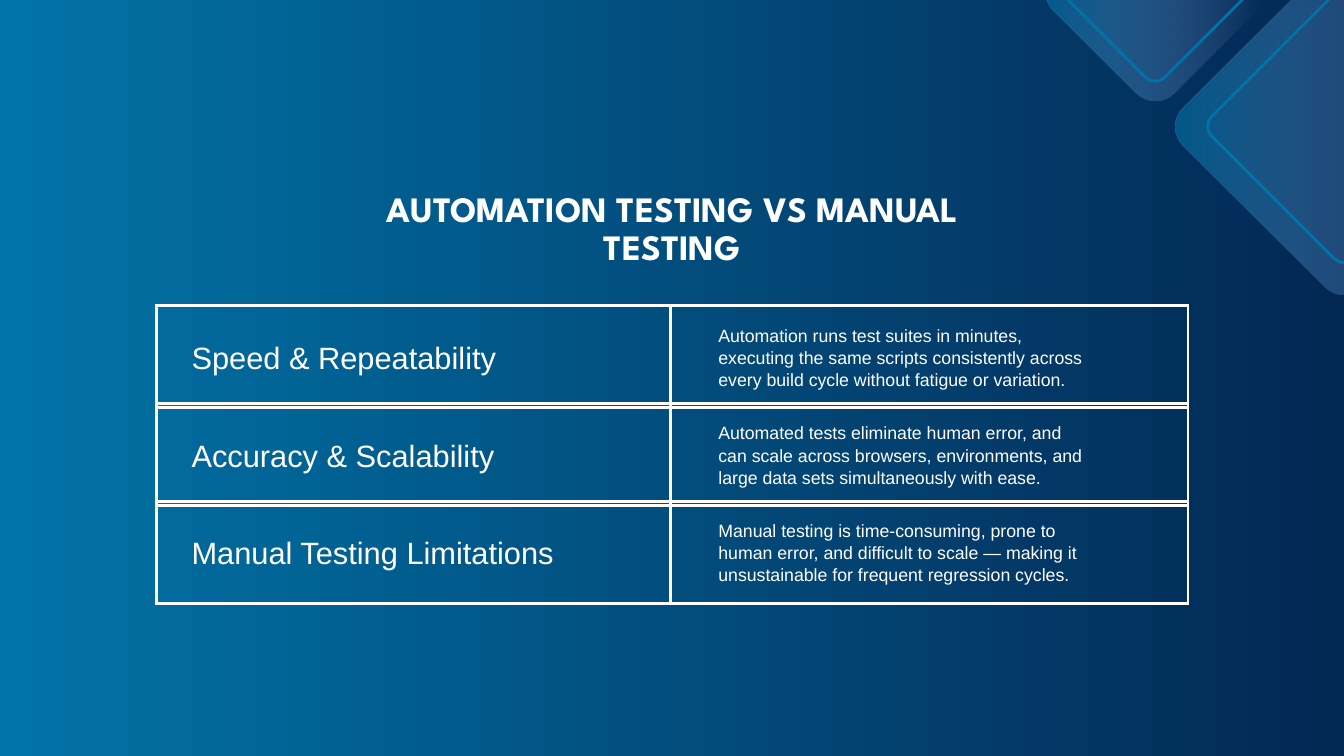
import math

from pptx import Presentation, util as u
from pptx.dml.color import RGBColor
from pptx.enum import shapes, text
from pptx.oxml.ns import qn
from lxml import etree

# The page is a grid of 20 columns by 11.25 rows, each one inch
COLUMNS, ROWS = 20, 11.25
WHITE = RGBColor(0xFF, 0xFF, 0xFF)
BLUE = RGBColor(0x02, 0x73, 0xA7)
NAVY = RGBColor(0x03, 0x28, 0x54)
LILAC = RGBColor(0xC8, 0xC3, 0xFF)
RULE = u.Pt(3)

TITLE = {"size": u.Pt(38.2), "name": "League Spartan", "bold": True}
LABEL = {"size": u.Pt(33), "name": "Arial"}
DETAIL = {"size": u.Pt(19), "name": "Arial"}

COMPARISON = [
    ("Speed & Repeatability",
     "Automation runs test suites in minutes, executing the same scripts "
     "consistently across every build cycle without fatigue or variation."),
    ("Accuracy & Scalability",
     "Automated tests eliminate human error, and can scale across browsers, "
     "environments, and large data sets simultaneously with ease."),
    ("Manual Testing Limitations",
     "Manual testing is time-consuming, prone to human error, and difficult to "
     "scale — making it unsustainable for frequent regression cycles."),
]


def grid(*cells):
    return [u.Inches(cell) for cell in cells]


def paint_gradient(fill, start, end):
    fill.gradient()
    fill.gradient_angle = 0
    for stop, colour in zip(fill.gradient_stops, (start, end)):
        stop.color.rgb = colour


def outline(shape, colour):
    """Leave the shape hollow, with a sharp-cornered line."""
    shape.shadow.inherit = False
    shape.fill.background()
    shape.line.color.rgb = colour
    shape.line.width = RULE
    line = shape._element.spPr.find(qn("a:ln"))
    etree.SubElement(line, qn("a:miter"), lim="800000")


def add_text(page, area, words, style, spacing, align=text.PP_ALIGN.LEFT):
    box = page.shapes.add_textbox(*grid(*area))
    frame = box.text_frame
    frame.word_wrap = True
    for side in ("left", "top", "right", "bottom"):
        setattr(frame, f"margin_{side}", 0)
    para = frame.paragraphs[0]
    para.alignment = align
    para.line_spacing = u.Pt(spacing)
    span = para.add_run()
    span.text = words
    span.font.color.rgb = WHITE
    for key, value in style.items():
        setattr(span.font, key, value)


def add_comparison(page, left, top, width, height):
    """Framed rows that overlap slightly, split by one upright rule."""
    frame_height, text_pitch = 1.52, 1.45
    frame_pitch = (height - frame_height) / (len(COMPARISON) - 1)
    for row in range(len(COMPARISON)):
        frame = page.shapes.add_shape(
            shapes.MSO_SHAPE.RECTANGLE,
            *grid(left, top + row * frame_pitch, width, frame_height))
        outline(frame, WHITE)

    middle = left + 7.65
    divider = page.shapes.add_connector(
        shapes.MSO_CONNECTOR.STRAIGHT, *grid(middle, top + height, middle, top))
    divider.line.color.rgb = WHITE
    divider.line.width = RULE
    etree.SubElement(divider._element.spPr, qn("a:effectLst"))

    for row, (label, detail) in enumerate(COMPARISON):
        row_top = top + row * text_pitch
        add_text(page, (left + 0.52, row_top + 0.4, 5.88, 0.65), label, LABEL, 46.2)
        add_text(page, (middle + 0.71, row_top + 0.27, 5.46, 0.98), detail, DETAIL, 23.7)


def bend(segment, start, angle, radius):
    """Turn a straight path segment into an arc of 45 degrees from the angle."""
    end = segment.find(qn("a:pt"))
    reach = 4 / 3 * math.tan(math.radians(45 / 4)) * u.Inches(radius)
    handles = []
    for point, turn, sign in ((start, angle, 1), (end, angle + 45, -1)):
        slope = math.radians(turn)
        handles.append((int(point.get("x")) - sign * reach * math.sin(slope),
                        int(point.get("y")) + sign * reach * math.cos(slope)))
    curve = etree.Element(qn("a:cubicBezTo"))
    for x, y in handles:
        etree.SubElement(curve, qn("a:pt"), x=str(round(x)), y=str(round(y)))
    segment.getparent().replace(segment, curve)
    curve.append(end)


def add_diamond(page, centre_x, centre_y, reach, radius):
    """Square standing on a corner, with its corners rounded."""
    points, turns = [], []
    for corner in range(0, 360, 90):
        hub_x = centre_x + (reach - radius) * math.cos(math.radians(corner))
        hub_y = centre_y + (reach - radius) * math.sin(math.radians(corner))
        for turn in (corner - 45, corner, corner + 45):
            angle = math.radians(turn)
            turns.append(turn)
            points.append(grid(hub_x + radius * math.cos(angle),
                               hub_y + radius * math.sin(angle)))
    builder = page.shapes.build_freeform(*points[0])
    builder.add_line_segments(points[1:], close=True)
    diamond = builder.convert_to_shape()

    segments = list(diamond._element.iter(qn("a:lnTo")))
    nodes = list(diamond._element.iter(qn("a:pt")))
    for index, (segment, start, turn) in enumerate(zip(segments, nodes, turns)):
        if index % 3 < 2:
            bend(segment, start, turn, radius)
    return diamond


def add_corner_diamonds(page, right):
    """Two tinted diamonds, each with a thin inner outline."""
    diamonds = [(right, 1.88, 2.5, 2.03), (right - 2.81, -0.13, 1.63, 1.34)]
    for x, y, reach, _ in diamonds:
        tile = add_diamond(page, x, y, reach, 0.4)
        tile.shadow.inherit = False
        tile.line.fill.background()
        paint_gradient(tile.fill, BLUE, LILAC)
        colours = tile._element.spPr.iter(qn("a:srgbClr"))
        for colour, opacity in zip(colours, (60, 0)):
            etree.SubElement(colour, qn("a:alpha"), val=str(opacity * 1000))
    for x, y, _, inner_reach in diamonds:
        outline(add_diamond(page, x, y, inner_reach, 0.2), BLUE)


def main():
    deck = Presentation()
    deck.slide_width, deck.slide_height = grid(COLUMNS, ROWS)
    page = deck.slides.add_slide(deck.slide_layouts[6])
    paint_gradient(page.background.fill, BLUE, NAVY)
    add_comparison(page, 2.33, 4.55, 15.35, 4.43)
    add_text(page, (5.02, 2.86, 9.97, 1.12), "AUTOMATION TESTING VS MANUAL TESTING",
             TITLE, 40.5, text.PP_ALIGN.CENTER)
    add_corner_diamonds(page, COLUMNS)
    deck.save("out.pptx")


if __name__ == "__main__":
    main()
